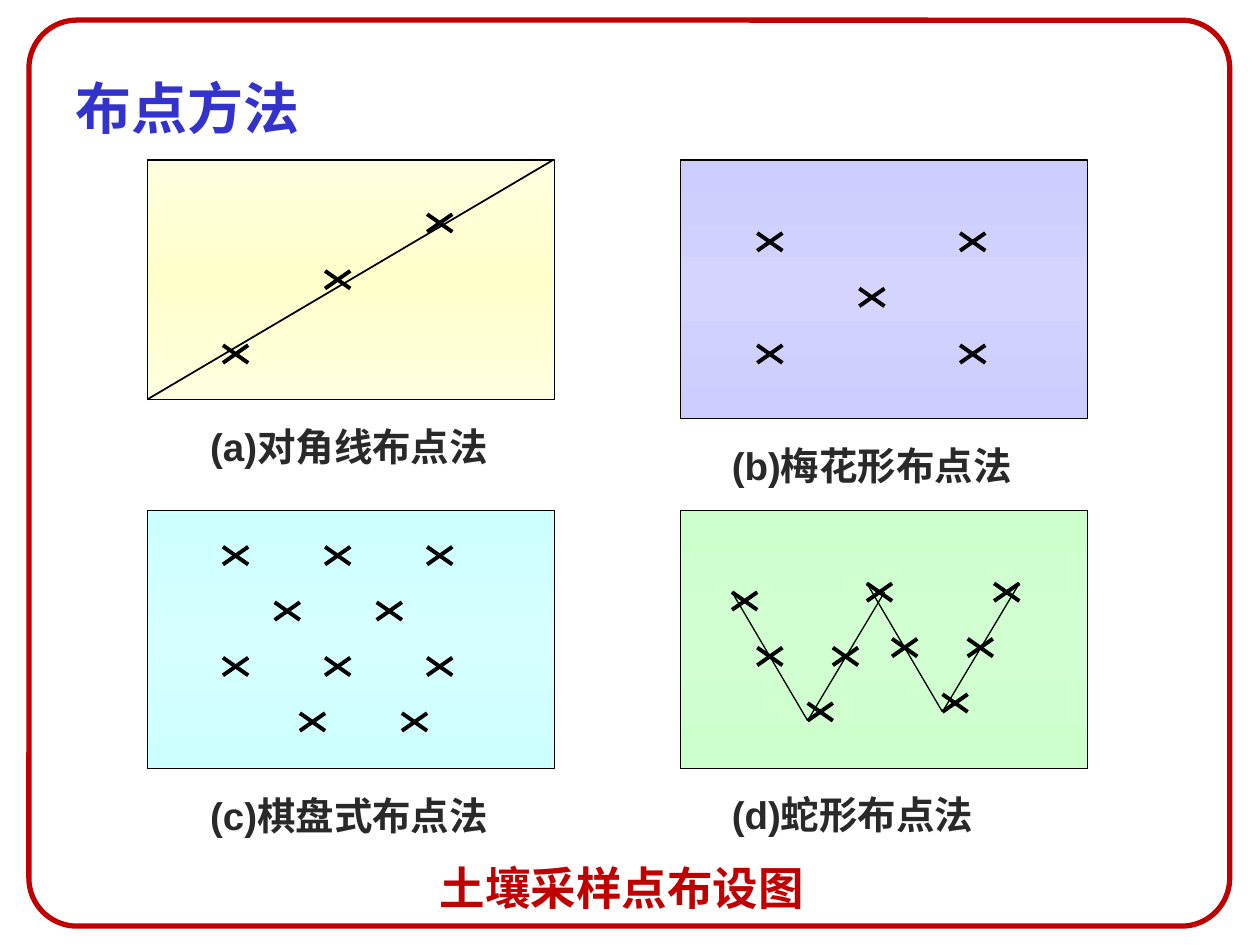
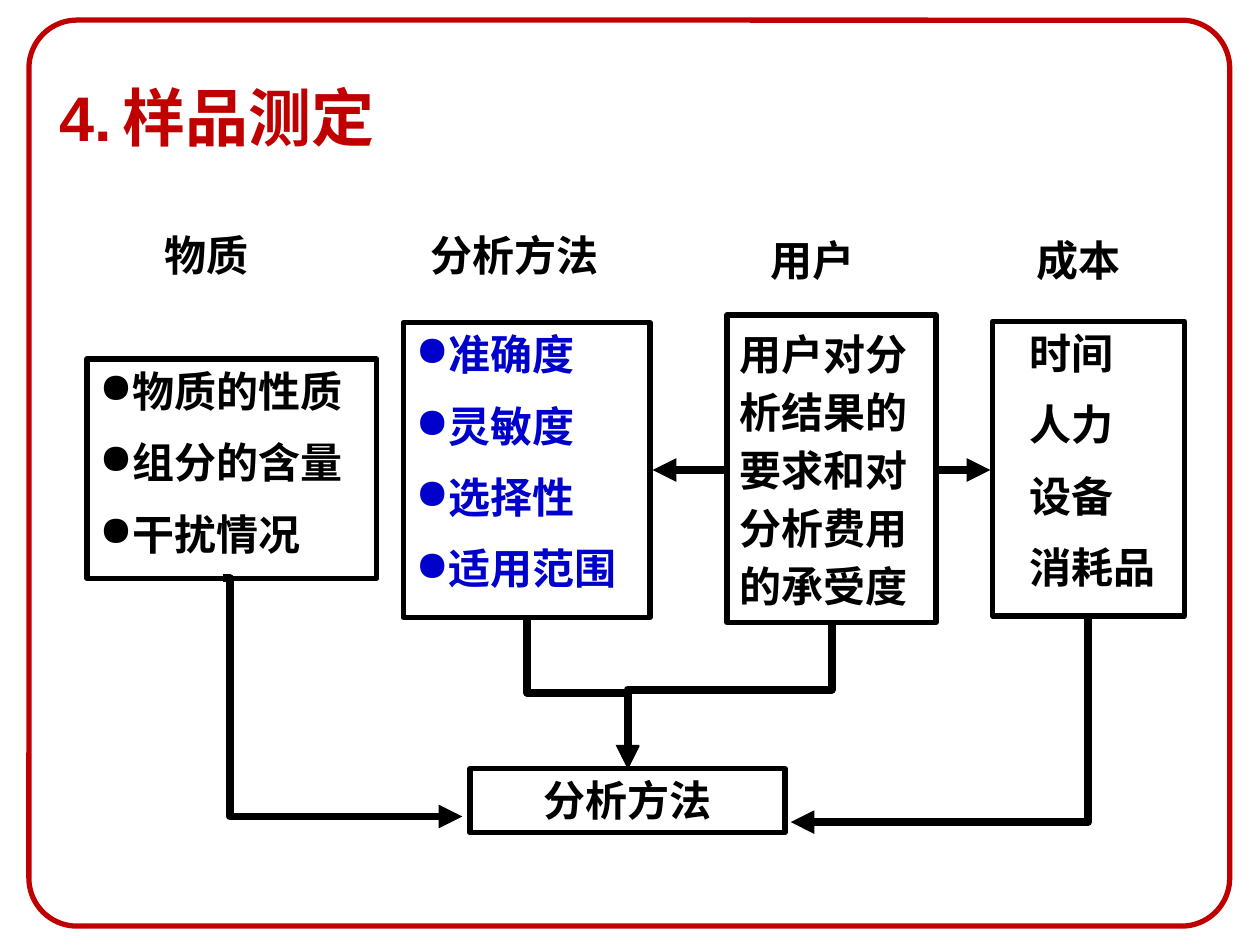
"""Builds two slides on soil sampling layouts and sample measurement."""
from copy import deepcopy

from lxml.etree import SubElement
from pptx import Presentation
from pptx.dml.color import RGBColor
from pptx.enum.shapes import MSO_CONNECTOR as LINK, MSO_SHAPE as SHAPE
from pptx.enum.text import MSO_ANCHOR as ANCHOR, MSO_AUTO_SIZE as FIT, PP_ALIGN as ALIGN
from pptx.oxml.ns import qn
from pptx.util import Inches, Pt

rgb = RGBColor.from_string
RED, BLACK, GREY, BLUE, VIOLET = "C00000", "000000", "292929", "0000CC", "3333CC"


def write(frame, lines, size, colour, align=ALIGN.LEFT, font="Arial", bullet=None):
    """Fill a text frame with bold paragraphs of one style."""
    frame.word_wrap = True
    frame.auto_size = FIT.NONE
    frame.vertical_anchor = ANCHOR.TOP
    frame.text = "\n".join(lines)
    for number, paragraph in enumerate(frame.paragraphs):
        paragraph.alignment = align
        if number:
            paragraph.space_before = Pt(size / 2)
        if bullet:
            SubElement(paragraph._p.get_or_add_pPr(), qn("a:buChar")).set("char", bullet)
        paragraph.font.name = font
        paragraph.font.size = Pt(size)
        paragraph.font.bold = True
        paragraph.font.color.rgb = rgb(colour)


def line(slide, start, end, width, arrow=False, kind=LINK.STRAIGHT):
    """Draw a black connector without shadow and return it."""
    connector = slide.shapes.add_connector(kind, *map(Inches, (*start, *end)))
    connector.line.width = Pt(width)
    connector.line.color.rgb = rgb(BLACK)
    if arrow:
        SubElement(connector.line._get_or_add_ln(), qn("a:tailEnd")).set("type", "triangle")
    SubElement(connector.element.spPr, qn("a:effectLst"))
    return connector


prs = Presentation()
prs.slide_width, prs.slide_height = Inches(10), Inches(7.5)
layout = prs.slide_layouts[5]
layouts_slide, measuring_slide = [prs.slides.add_slide(layout) for _ in range(2)]

border = layouts_slide.shapes.add_shape(
    SHAPE.ROUNDED_RECTANGLE, *map(Inches, (0.23, 0.16, 9.53, 7.19)))
border.adjustments[0] = 0.053
border.shadow.inherit = False
border.fill.background()
border.line.color.rgb = rgb(RED)
border.line.width = Pt(3)
layout.shapes._spTree.append(border.element)

for slide, place, heading, size, colour, font in (
        (layouts_slide, (0.6, 0.49, 2.38, 0.63), "布点方法", 32, VIOLET, "Karla"),
        (measuring_slide, (0.47, 0.4, 2.85, 0.82), "4.\t样品测定", 36, RED, "Arial")):
    title = slide.shapes.title
    title.left, title.top, title.width, title.height = map(Inches, place)
    frame = title.text_frame
    if "\t" in heading:
        tabs = SubElement(frame.paragraphs[0]._p.get_or_add_pPr(), qn("a:tabLst"))
        SubElement(tabs, qn("a:tab"), pos=str(Inches(0.67)), algn="l")
    write(frame, [heading], size, colour, font=font)
    frame.vertical_anchor = ANCHOR.BOTTOM
    frame.margin_left = frame.margin_right = frame.margin_bottom = 0
    frame.margin_top = Inches(0.05)

for left, top, height, edge, middle in (
        (1.17, 1.27, 1.9, "FFFFDF", "FFFFCC"), (5.4, 1.27, 2.05, "CCCCFF", "D4D4FF"),
        (1.17, 4.05, 2.05, "CCFFFF", "D6FFFF"), (5.4, 4.05, 2.05, "CCFFCC", "D2FFD2")):
    field = layouts_slide.shapes.add_shape(
        SHAPE.RECTANGLE, *map(Inches, (left, top, 3.23, height)))
    field.shadow.inherit = False
    field.line.color.rgb = rgb(BLACK)
    field.line.width = Pt(0.75)
    field.fill.gradient()
    field.fill.gradient_angle = 90
    stops = field.element.spPr.find(".//" + qn("a:gsLst"))
    stops.append(deepcopy(stops[0]))
    for stop, position, colour in zip(field.fill.gradient_stops, (0, 0.5, 1), (edge, middle, edge)):
        stop.position = position
        stop.color.rgb = rgb(colour)

for left, top, width, caption, size, colour in (
        (1.57, 3.31, 2.62, "(a)对角线布点法", 22, GREY),
        (5.71, 3.46, 2.72, "(b)梅花形布点法", 22, GREY),
        (1.57, 6.24, 2.62, "(c)棋盘式布点法", 22, GREY),
        (5.71, 6.23, 2.62, "(d)蛇形布点法", 22, GREY),
        (3.39, 6.78, 3.83, "土壤采样点布设图", 26, RED)):
    label = layouts_slide.shapes.add_textbox(*map(Inches, (left, top, width, 0.44)))
    write(label.text_frame, [caption], size, colour, ALIGN.JUSTIFY)

line(layouts_slide, (1.17, 3.17), (4.39, 1.27), 1)
points = [(1.87, 2.81), (2.68, 2.22), (3.49, 1.77), (6.92, 2.36)]
points += [(x, y) for x in (6.11, 7.72) for y in (1.92, 2.81)]
for row, (first, count) in enumerate(((1.87, 3), (2.28, 2), (1.87, 3), (2.48, 2))):
    points += [(first + 0.81 * column, 4.41 + 0.44 * row) for column in range(count)]
snake = [(0.1, 0.07), (0.3, 0.51), (0.7, 0.95), (0.9, 0.51), (1.11, 0.07)]
for left, top, count in ((5.81, 4.7, 4), (6.88, 4.63, 5)):
    bottom = (left + 0.6, top + 1.02)
    line(layouts_slide, (left, top), bottom, 0.75)
    line(layouts_slide, bottom, (left + 1.21, top), 0.75)
    points += [(left + dx, top + dy) for dx, dy in snake[:count]]
for x, y in points:
    for rise in (-0.07, 0.07):
        line(layouts_slide, (x - 0.1, y + rise), (x + 0.1, y - rise), 2.25)

for left, top, width, heading in ((1.21, 1.77, 1.25, "物质"), (3.32, 1.77, 1.65, "分析方法"),
                                  (6.02, 1.81, 1.46, "用户"), (8.13, 1.81, 1.1, "成本")):
    label = measuring_slide.shapes.add_textbox(*map(Inches, (left, top, width, 0.5)))
    write(label.text_frame, [heading], 24, BLACK)

factors = {}
for name, place, lines, colour, align, bullet in (
        ("物质", (0.69, 2.85, 2.3, 1.74), ["物质的性质", "组分的含量", "干扰情况"],
         BLACK, ALIGN.LEFT, "●"),
        ("方法", (3.2, 2.56, 1.96, 2.34), ["准确度", "灵敏度", "选择性", "适用范围"],
         BLUE, ALIGN.LEFT, "●"),
        ("用户", (5.77, 2.5, 1.66, 2.44), ["用户对分析结果的要求和对分析费用的承受度"],
         BLACK, ALIGN.LEFT, None),
        ("成本", (7.88, 2.55, 1.52, 2.34), ["时间", "人力", "设备", "消耗品"],
         BLACK, ALIGN.LEFT, None),
        ("结果", (3.73, 6.1, 2.5, 0.51), ["分析方法"], BLACK, ALIGN.CENTER, None)):
    factor = measuring_slide.shapes.add_shape(SHAPE.RECTANGLE, *map(Inches, place))
    factor.shadow.inherit = False
    factor.fill.background()
    factor.line.color.rgb = rgb(BLACK)
    factor.line.width = Pt(3)
    write(factor.text_frame, lines, 24, colour, align, bullet=bullet)
    factors[name] = factor.text_frame
factors["用户"].paragraphs[0].line_spacing = 1.15
factors["成本"].margin_left = Inches(0.29)
factors["成本"].margin_right = 0

line(measuring_slide, (5.75, 3.73), (5.18, 3.73), 4.5, True)
line(measuring_slide, (7.45, 3.73), (7.86, 3.73), 4.5, True)
for left, top, width, height, turn, flip, preset, bend in (
        (1.77, 4.59, 1.9, 1.89, 0, False, "bentConnector3", 0.03),
        (3.98, 5.1, 1.21, 0.8, 270, True, "bentConnector3", 0.5),
        (5.21, 4.71, 1.16, 1.62, 90, False, "bentConnector3", 0.46),
        (6.65, 4.54, 1.61, 2.36, 90, False, "bentConnector2", None)):
    route = line(measuring_slide, (left, top), (left + width, top + height), 4.5, True, LINK.ELBOW)
    frame = route.element.spPr.find(qn("a:xfrm"))
    frame.set("rot", str(turn * 60000))
    if flip:
        frame.set("flipH", "1")
    geometry = route.element.spPr.find(qn("a:prstGeom"))
    geometry.set("prst", preset)
    if bend is not None:
        guides = geometry.find(qn("a:avLst"))
        SubElement(guides, qn("a:gd"), name="adj1", fmla=f"val {round(bend * 100000)}")

prs.save("out.pptx")
